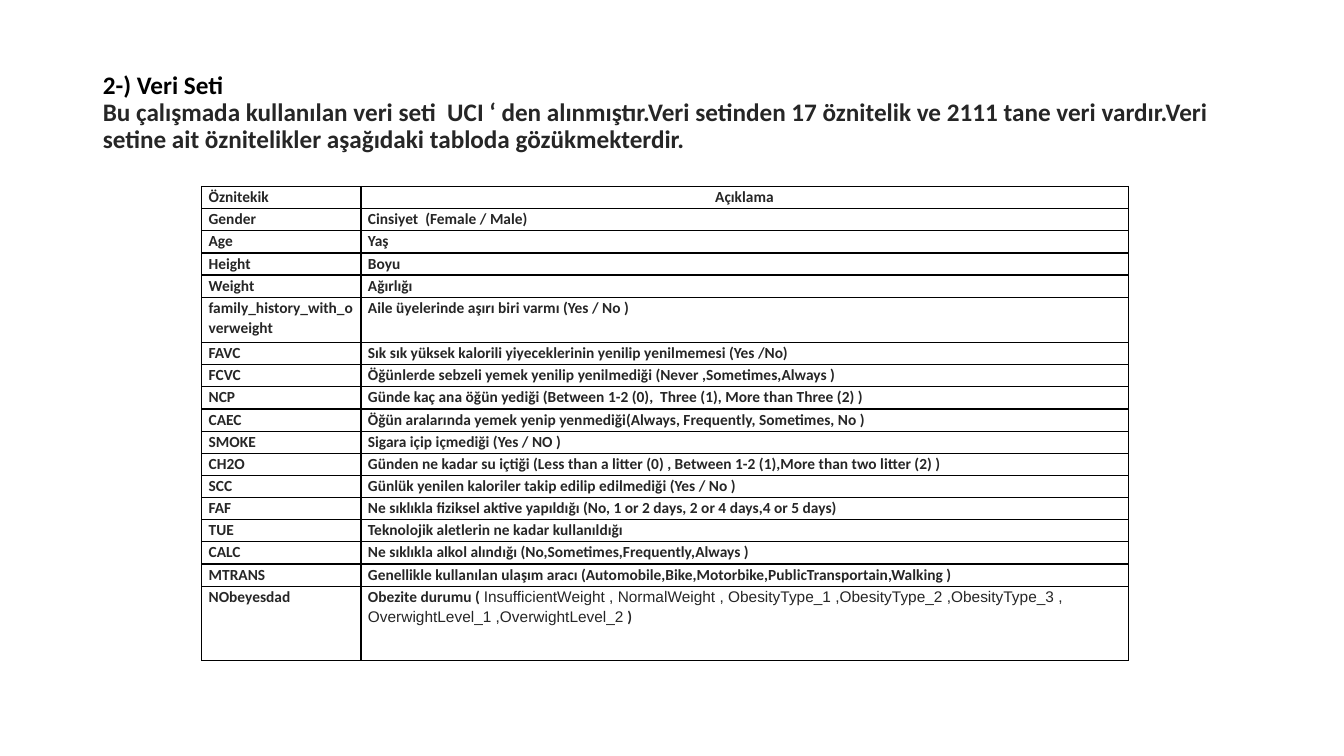
from lxml import etree
from pptx import Presentation
from pptx import util as u
from pptx.dml.color import RGBColor
from pptx.enum import text
from pptx.oxml.ns import qn

SLIDE_W, SLIDE_H = u.Inches(13.33), u.Inches(7.5)
COLORS = {"heading": "000000", "body": "262626", "border": "000000"}

# Table grid, in inches
COLUMN_WIDTHS = (1.58, 7.61)
ROW_HEIGHT = 0.22
TALL_ROWS = {"family_history_with_overweight": 0.45, "NObeyesdad": 0.74}

HEADING = "2-) Veri Seti"
INTRO = ("Bu çalışmada kullanılan veri seti  UCI ‘ den alınmıştır.Veri setinden "
         "17 öznitelik ve 2111 tane veri vardır.Veri setine ait öznitelikler "
         "aşağıdaki tabloda gözükmekterdir.")

HEADER = ("Öznitekik", "Açıklama")
ATTRIBUTES = [
    ("Gender", "Cinsiyet  (Female / Male)"),
    ("Age", "Yaş"),
    ("Height", "Boyu"),
    ("Weight", "Ağırlığı"),
    ("family_history_with_overweight", "Aile üyelerinde aşırı biri varmı (Yes / No )"),
    ("FAVC", "Sık sık yüksek kalorili yiyeceklerinin yenilip yenilmemesi (Yes /No)"),
    ("FCVC", "Öğünlerde sebzeli yemek yenilip yenilmediği (Never ,Sometimes,Always )"),
    ("NCP", "Günde kaç ana öğün yediği (Between 1-2 (0),  Three (1), More than Three (2) )"),
    ("CAEC", "Öğün aralarında yemek yenip yenmediği(Always, Frequently, Sometimes, No )"),
    ("SMOKE", "Sigara içip içmediği (Yes / NO )"),
    ("CH2O", "Günden ne kadar su içtiği (Less than a litter (0) , Between 1-2 (1),"
             "More than two litter (2) )"),
    ("SCC", "Günlük yenilen kaloriler takip edilip edilmediği (Yes / No )"),
    ("FAF", "Ne sıklıkla fiziksel aktive yapıldığı (No, 1 or 2 days, 2 or 4 days,4 or 5 days)"),
    ("TUE", "Teknolojik aletlerin ne kadar kullanıldığı"),
    ("CALC", "Ne sıklıkla alkol alındığı (No,Sometimes,Frequently,Always )"),
    ("MTRANS", "Genellikle kullanılan ulaşım aracı "
               "(Automobile,Bike,Motorbike,PublicTransportain,Walking )"),
]
TARGET = "NObeyesdad"
TARGET_LEVELS = ("InsufficientWeight , NormalWeight , ObesityType_1 ,ObesityType_2 ,"
                 "ObesityType_3 , OverwightLevel_1 ,OverwightLevel_2")


def add_run(paragraph, words, size=11, font="Calibri", color="body", bold=True):
    run = paragraph.add_run()
    run.text = words
    run.font.size = u.Pt(size)
    run.font.name = font
    run.font.bold = bold
    run.font.color.rgb = RGBColor.from_string(COLORS[color])


def fill_title(title):
    title.left, title.top = int(SLIDE_W * 0.069), u.Inches(0.4)
    title.width, title.height = u.Inches(11.5), u.Inches(1.45)
    frame = title.text_frame
    frame.word_wrap = True
    frame.auto_size = text.MSO_AUTO_SIZE.NONE
    frame.vertical_anchor = text.MSO_ANCHOR.MIDDLE
    paragraph = frame.paragraphs[0]
    paragraph.alignment = text.PP_ALIGN.LEFT
    paragraph.line_spacing = 0.9
    add_run(paragraph, HEADING, size=18, color="heading")
    paragraph.add_line_break()
    add_run(paragraph, INTRO, size=18)


def add_borders(cell, width=1):
    properties = cell._tc.get_or_add_tcPr()
    for side in ("lnL", "lnR", "lnT", "lnB"):
        line = etree.SubElement(properties, qn(f"a:{side}"), w=str(u.Pt(width)))
        solid = etree.SubElement(line, qn("a:solidFill"))
        etree.SubElement(solid, qn("a:srgbClr"), val=COLORS["border"])


def format_cell(cell, align=text.PP_ALIGN.LEFT):
    """Style a cell and return its paragraph, ready for runs."""
    add_borders(cell)
    cell.fill.background()
    cell.margin_left = cell.margin_right = u.Inches(0.07)
    cell.margin_top = cell.margin_bottom = 0
    paragraph = cell.text_frame.paragraphs[0]
    paragraph.alignment = align
    paragraph.line_spacing = 1.07
    paragraph.space_after = u.Pt(8)
    return paragraph


def add_attribute_table(slide):
    names = [HEADER[0], *(name for name, _ in ATTRIBUTES), TARGET]
    heights = [TALL_ROWS.get(name, ROW_HEIGHT) for name in names]
    table = slide.shapes.add_table(
        len(names), len(COLUMN_WIDTHS), int(SLIDE_W * 0.15), u.Inches(1.85),
        u.Inches(sum(COLUMN_WIDTHS)), u.Inches(sum(heights))).table
    table.first_row = table.horz_banding = False
    for column, width in zip(table.columns, COLUMN_WIDTHS):
        column.width = u.Inches(width)
    for row, height in zip(table.rows, heights):
        row.height = u.Inches(height)

    # Header and plain attribute rows
    for r, row_words in enumerate([HEADER, *ATTRIBUTES]):
        for c, words in enumerate(row_words):
            centered = (r, c) == (0, 1)
            align = text.PP_ALIGN.CENTER if centered else text.PP_ALIGN.LEFT
            add_run(format_cell(table.cell(r, c), align), words)

    # Target row, with its class names in a lighter face
    last = len(names) - 1
    add_run(format_cell(table.cell(last, 0)), TARGET)
    description = format_cell(table.cell(last, 1))
    add_run(description, "Obezite durumu ( ")
    add_run(description, TARGET_LEVELS, font="Arial", bold=False)
    add_run(description, " )")


def main():
    deck = Presentation()
    deck.slide_width, deck.slide_height = SLIDE_W, SLIDE_H
    slide = deck.slides.add_slide(deck.slide_layouts.get_by_name("Title Only"))
    fill_title(slide.shapes.title)
    add_attribute_table(slide)
    deck.save("out.pptx")


if __name__ == "__main__":
    main()
